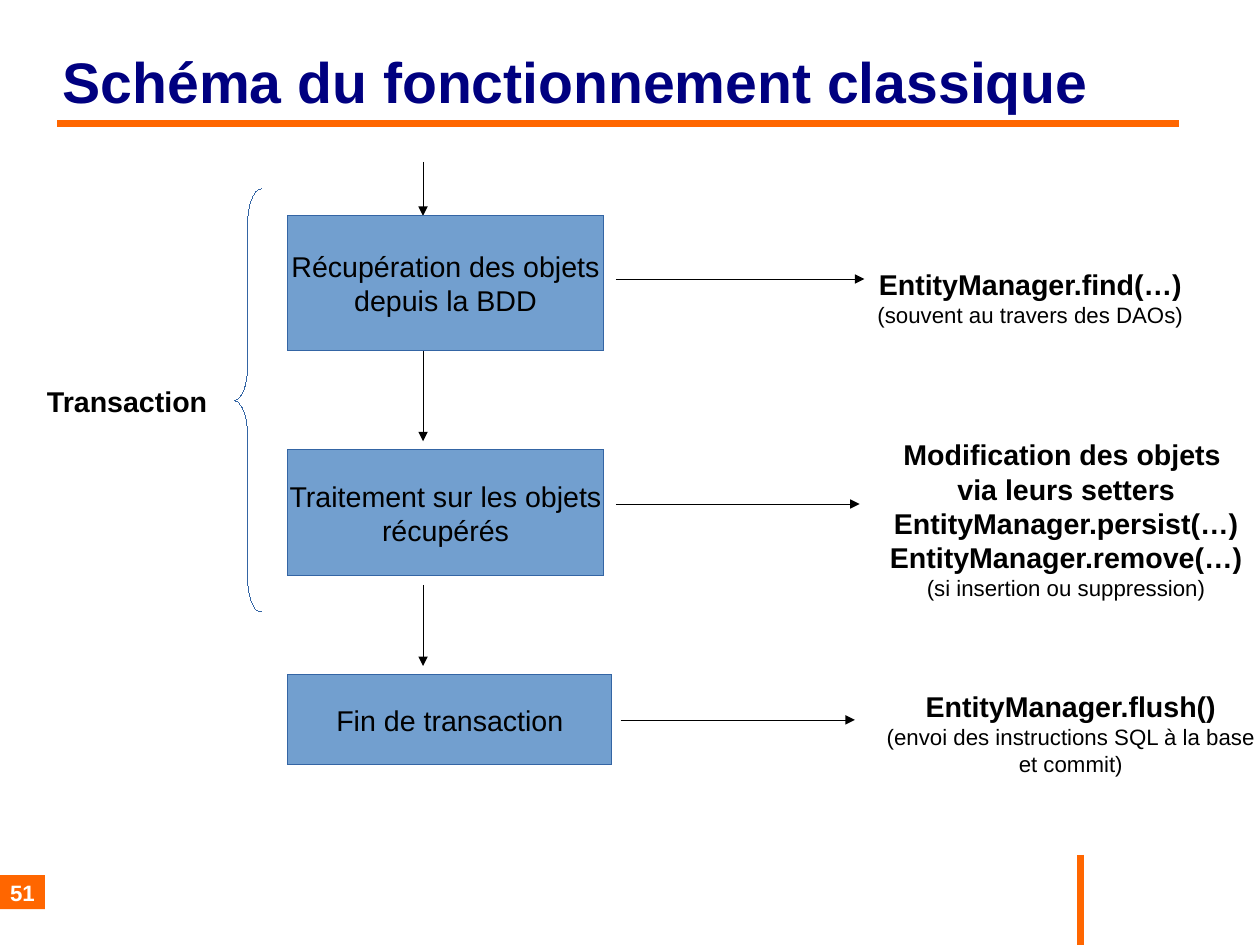
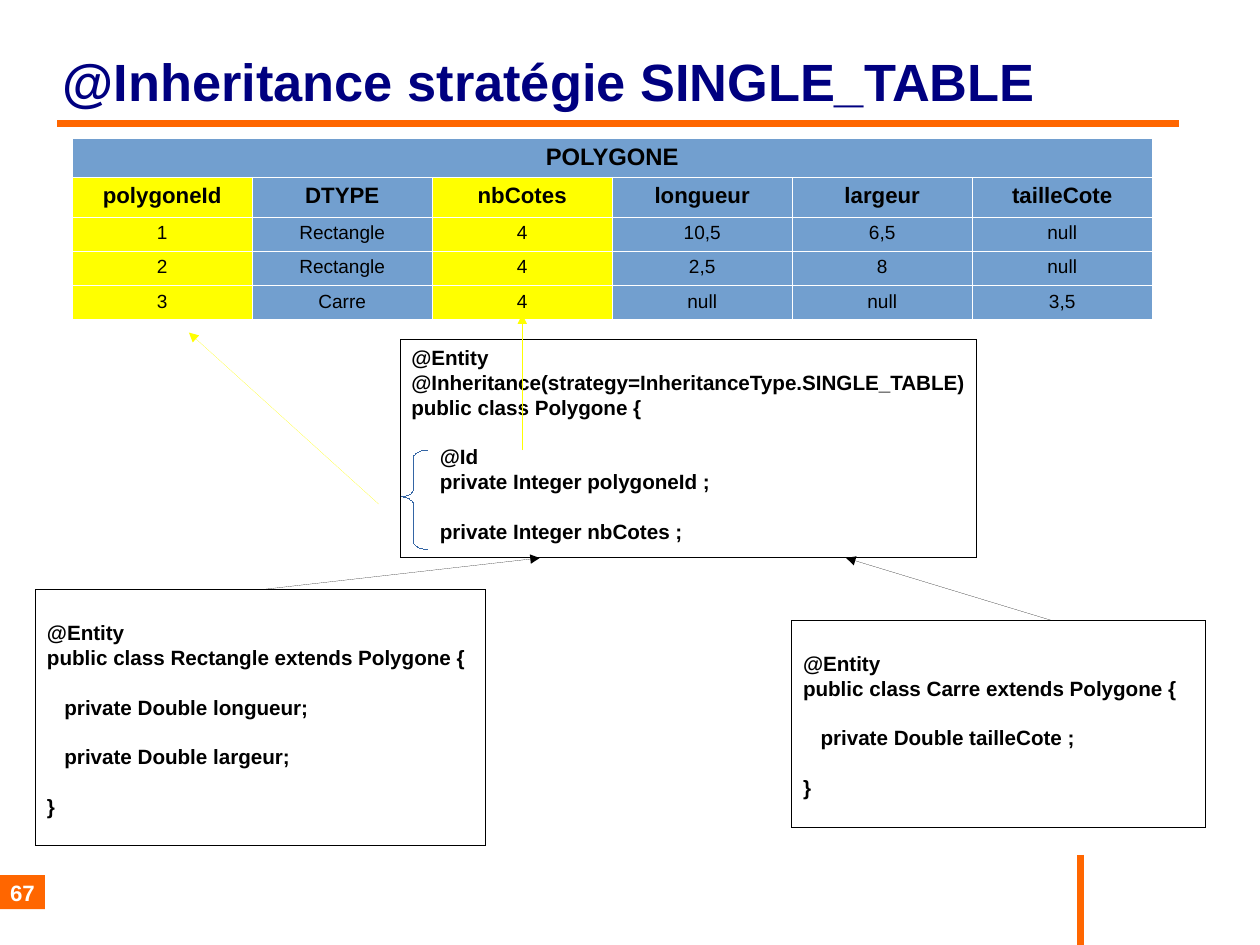
import pptx
import pptx.util
import pptx.dml.color
import pptx.enum.shapes
import pptx.enum.text
import pptx.oxml.ns
import lxml.etree

Pt = pptx.util.Pt
RGB = pptx.dml.color.RGBColor.from_string
SHAPE = pptx.enum.shapes.MSO_SHAPE
ALIGN = pptx.enum.text.PP_ALIGN
ANCHOR = pptx.enum.text.MSO_ANCHOR
qn = pptx.oxml.ns.qn

COLORS = {
    "title": "000080", "accent": "FF6600", "box": "729FCF", "outline": "3465A4",
    "highlight": "FFFF00", "text": "000000", "white": "FFFFFF",
}
FORMATS = {
    "title": {"size": Pt(36), "bold": True},
    "long title": {"size": Pt(33), "bold": True},
    "step": {"size": Pt(18), "bold": False},
    "call": {"size": Pt(18), "bold": True},
    "remark": {"size": Pt(14), "bold": False},
    "code": {"size": Pt(13), "bold": True},
    "number": {"size": Pt(14), "bold": True},
    "table name": {"size": Pt(15), "bold": True},
    "column name": {"size": Pt(14), "bold": True},
    "value": {"size": Pt(12), "bold": False},
}
NO_MARGINS = {"margin_left": 0, "margin_top": 0, "margin_right": 0, "margin_bottom": 0}
HAIRLINE = 0.01


def write(frame, lines, color="text", align=ALIGN.CENTER, **settings):
    """Each line is (format, text), optionally followed by indent and space before."""
    for name, value in settings.items():
        setattr(frame, name, value)
    for index, (style, text, *gaps) in enumerate(lines):
        paragraph = frame.add_paragraph() if index else frame.paragraphs[0]
        paragraph.text = text
        paragraph.alignment = align
        font = paragraph.runs[0].font
        for name, value in {"name": "Arial", **FORMATS[style]}.items():
            setattr(font, name, value)
        font.color.rgb = RGB(COLORS[color])
        if gaps:
            indent, before = gaps
            paragraph.space_before = Pt(before)
            properties = paragraph._p.get_or_add_pPr()
            properties.set("marL", str(Pt(indent)))
            properties.set("indent", "0")


def add_line(slide, start, end, color="text", width=HAIRLINE, arrow=True):
    connector = slide.shapes.add_connector(
        pptx.enum.shapes.MSO_CONNECTOR.STRAIGHT, *map(Pt, start + end))
    connector.line.color.rgb = RGB(COLORS[color])
    connector.line.width = Pt(width)
    properties = connector._element.spPr
    if arrow:
        lxml.etree.SubElement(properties.find(qn("a:ln")), qn("a:tailEnd"), type="triangle")
    lxml.etree.SubElement(properties, qn("a:effectLst"))


presentation = pptx.Presentation()
presentation.slide_width = Pt(793.7)
presentation.slide_height = Pt(595.28)

# Title position, shared through the layout
layout = presentation.slide_layouts[5]
title_position = {"left": Pt(39.5), "top": Pt(23.5), "width": Pt(737.5), "height": Pt(55)}
for name, value in title_position.items():
    setattr(layout.placeholders[0], name, value)

# Title, rule, bar, page number and brace of each slide
pages = [
    ("title", "Schéma du fonctionnement classique", "51",
     (147.5, 119, 17, 266.5), (1.29, 0.5)),
    ("long title", "@Inheritance stratégie SINGLE_TABLE", "67",
     (252, 283.5, 17, 62.5), (0.29, 0.47)),
]
for style, title, number, brace_box, brace_curve in pages:
    slide = presentation.slides.add_slide(layout)
    write(slide.shapes.title.text_frame, [(style, title)], "title", ALIGN.LEFT,
          vertical_anchor=ANCHOR.MIDDLE, auto_size=pptx.enum.text.MSO_AUTO_SIZE.NONE,
          **NO_MARGINS)
    add_line(slide, (680.4, 538.5), (680.4, 595.28), "accent", 4.54, arrow=False)
    add_line(slide, (36, 78), (743, 78), "accent", 4.54, arrow=False)

    tag = slide.shapes.add_shape(SHAPE.RECTANGLE, 0, Pt(551.3), Pt(28.3), Pt(21.5))
    tag.shadow.inherit = False
    tag.fill.solid()
    tag.fill.fore_color.rgb = RGB(COLORS["accent"])
    tag.line.fill.background()
    write(tag.text_frame, [("number", number)], "white",
          vertical_anchor=ANCHOR.MIDDLE, **NO_MARGINS)

    brace = slide.shapes.add_shape(SHAPE.LEFT_BRACE, *map(Pt, brace_box))
    brace.shadow.inherit = False
    brace.fill.background()
    brace.line.color.rgb = RGB(COLORS["outline"])
    brace.line.width = Pt(HAIRLINE)
    for index, value in enumerate(brace_curve):
        brace.adjustments[index] = value

flow_slide, inheritance_slide = presentation.slides

# Flow: incoming arrow, step box, arrow to the note, note
steps = [
    {"incoming": (102, 136), "box": (136, 198.5, 85),
     "text": ["Récupération des objets", "depuis la BDD"],
     "arrow": (388, 544.5, 175.75), "note": (544.3, 164.4, 209.5, 68),
     "lines": [("call", "EntityManager.find(…)"),
               ("remark", "(souvent au travers des DAOs)")]},
    {"incoming": (221, 278), "box": (283.4, 198.5, 79.4),
     "text": ["Traitement sur les objets", "récupérés"],
     "arrow": (388, 541.5, 317.5), "note": (541.4, 272, 260.5, 108),
     "lines": [("call", "Modification des objets "),
               ("call", "via leurs setters"),
               ("call", "EntityManager.persist(…)"),
               ("call", "EntityManager.remove(…)"),
               ("remark", "(si insertion ou suppression)")]},
    {"incoming": (368.5, 419.5), "box": (425.2, 204, 56.7),
     "text": ["Fin de transaction"],
     "arrow": (391, 538.5, 453.5), "note": (544.3, 430.5, 260.5, 59),
     "lines": [("call", "EntityManager.flush()"),
               ("remark", "(envoi des instructions SQL à la base"),
               ("remark", "et commit)")]},
]
for step in steps:
    start, end = step["incoming"]
    add_line(flow_slide, (266.5, start), (266.5, end))

    top, width, height = step["box"]
    box = flow_slide.shapes.add_shape(
        SHAPE.RECTANGLE, Pt(181.4), Pt(top), Pt(width), Pt(height))
    box.shadow.inherit = False
    box.fill.solid()
    box.fill.fore_color.rgb = RGB(COLORS["box"])
    box.line.color.rgb = RGB(COLORS["outline"])
    box.line.width = Pt(HAIRLINE)
    write(box.text_frame, [("step", text) for text in step["text"]],
          vertical_anchor=ANCHOR.MIDDLE, word_wrap=False)

    start, end, middle = step["arrow"]
    add_line(flow_slide, (start, middle), (end, middle))
    note = flow_slide.shapes.add_textbox(*map(Pt, step["note"]))
    write(note.text_frame, step["lines"], word_wrap=True)

label = flow_slide.shapes.add_textbox(Pt(22.5), Pt(238.2), Pt(117), Pt(27))
write(label.text_frame, [("call", "Transaction")], align=ALIGN.LEFT, word_wrap=False)

# Class boxes: position, top margin, code lines
blank = 15.6
classes = [
    ((252, 213.8, 363, 137.5), 3.6, [
        ("code", "@Entity"),
        ("code", "@Inheritance(strategy=InheritanceType.SINGLE_TABLE)"),
        ("code", "public class Polygone {"),
        ("code", "@Id", 18, blank),
        ("code", "private Integer polygoneId ;", 18, 0),
        ("code", "private Integer nbCotes ;", 18, blank)]),
    ((22.5, 371.5, 283.5, 161), 3.6 + blank, [
        ("code", "@Entity"),
        ("code", "public class Rectangle extends Polygone {"),
        ("code", "private Double longueur;", 11, blank),
        ("code", "private Double largeur;", 11, blank),
        ("code", "}", 0, blank)]),
    ((498.8, 390.8, 260.5, 130.5), 3.6 + blank, [
        ("code", "@Entity"),
        ("code", "public class Carre extends Polygone {"),
        ("code", "private Double tailleCote ;", 11, blank),
        ("code", "}", 0, blank)]),
]
for position, margin, lines in classes:
    class_box = inheritance_slide.shapes.add_shape(SHAPE.RECTANGLE, *map(Pt, position))
    class_box.shadow.inherit = False
    class_box.fill.background()
    class_box.line.color.rgb = RGB(COLORS["text"])
    class_box.line.width = Pt(HAIRLINE)
    write(class_box.text_frame, lines, align=ALIGN.LEFT, word_wrap=True,
          vertical_anchor=ANCHOR.TOP, margin_top=Pt(margin))

# Table of polygons, with the inherited columns highlighted
rows = [
    ("POLYGONE", "", "", "", "", ""),
    ("polygoneId", "DTYPE", "nbCotes", "longueur", "largeur", "tailleCote"),
    ("1", "Rectangle", "4", "10,5", "6,5", "null"),
    ("2", "Rectangle", "4", "2,5", "8", "null"),
    ("3", "Carre", "4", "null", "null", "3,5"),
]
row_styles = ["table name", "column name", "value", "value", "value"]
row_heights = [24.8, 24.8, 21.6, 21.6, 21.6]
table = inheritance_slide.shapes.add_table(
    5, 6, Pt(45.5), Pt(86.9), Pt(680.4), Pt(sum(row_heights))).table
table.first_row = table.horz_banding = False
for column in table.columns:
    column.width = Pt(680.4 / 6)
for row_index, (values, style, height) in enumerate(zip(rows, row_styles, row_heights)):
    table.rows[row_index].height = Pt(height)
    for column_index, value in enumerate(values):
        cell = table.cell(row_index, column_index)
        properties = cell._tc.get_or_add_tcPr()
        for side in ("a:lnL", "a:lnR", "a:lnT", "a:lnB"):
            border = lxml.etree.SubElement(properties, qn(side), w=str(Pt(0.06)))
            border_fill = lxml.etree.SubElement(border, qn("a:solidFill"))
            lxml.etree.SubElement(border_fill, qn("a:srgbClr"), val=COLORS["white"])
        cell.fill.solid()
        inherited = row_index > 0 and column_index in (0, 2)
        cell.fill.fore_color.rgb = RGB(COLORS["highlight" if inherited else "box"])
        if value:
            write(cell.text_frame, [(style, value)])
table.cell(0, 0).merge(table.cell(0, 5))

# Arrows to the parent class and to the inherited columns
for start, end, color in [
    ((164, 371.5), (340, 351.5), "text"),
    ((663, 391), (533, 351.5), "text"),
    ((238.5, 317.5), (119, 209.5), "highlight"),
    ((329, 283.5), (329, 198), "highlight"),
]:
    add_line(inheritance_slide, start, end, color)

presentation.save("out.pptx")
